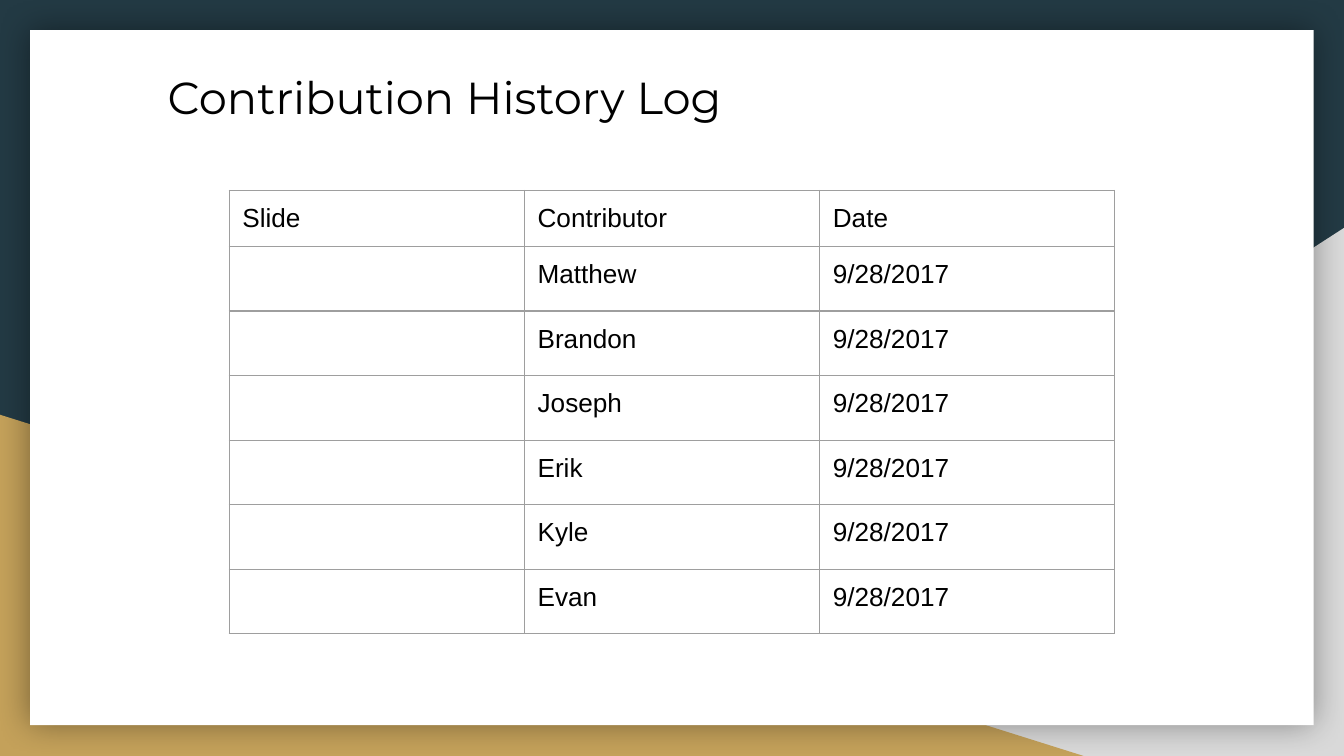
import pptx
import pptx.dml.color
import pptx.enum.shapes
import pptx.oxml
import pptx.oxml.ns
import pptx.util
from lxml import etree

Cm = pptx.util.Cm
Pt = pptx.util.Pt
RGBColor = pptx.dml.color.RGBColor
MSO_SHAPE = pptx.enum.shapes.MSO_SHAPE
qn = pptx.oxml.ns.qn

TEAL = RGBColor(0x23, 0x3A, 0x44)
GREY = RGBColor(0xD9, 0xD9, 0xD9)
GOLD = RGBColor(0xC4, 0xA1, 0x5A)
WHITE = RGBColor(0xFF, 0xFF, 0xFF)
BLACK = RGBColor(0x00, 0x00, 0x00)
BORDER = RGBColor(0x9E, 0x9E, 0x9E)

INSET = Cm(0.25)
HEADER = ("Slide", "Contributor", "Date")
CONTRIBUTORS = ("Matthew", "Brandon", "Joseph", "Erik", "Kyle", "Evan")
LOG_DATE = "9/28/2017"


def add_filled(slide, kind, left, top, width, height, color):
    shape = slide.shapes.add_shape(kind, Cm(left), Cm(top), Cm(width), Cm(height))
    shape.shadow.inherit = False
    shape.fill.solid()
    shape.fill.fore_color.rgb = color
    shape.line.fill.background()
    return shape


def add_glow_shadow(shape):
    """Give the shape a soft shadow spreading evenly on all sides."""
    effects = shape.element.spPr.find(qn("a:effectLst"))
    shadow = etree.SubElement(effects, qn("a:outerShdw"), blurRad=str(Pt(18)),
                              dist="0", dir="0", algn="ctr", rotWithShape="0")
    color = etree.SubElement(shadow, qn("a:srgbClr"), val=str(BLACK))
    etree.SubElement(color, qn("a:alpha"), val="40000")


def set_insets(frame):
    frame.margin_left = frame.margin_right = INSET
    frame.margin_top = frame.margin_bottom = INSET


def set_font(paragraph, name, size):
    paragraph.font.name = name
    paragraph.font.size = Pt(size)
    paragraph.font.color.rgb = BLACK


def add_title(slide, text):
    title = slide.shapes.add_textbox(Cm(2.92), Cm(1.07), Cm(19.56), Cm(2.54))
    frame = title.text_frame
    frame.word_wrap = True
    set_insets(frame)
    frame.text = text
    set_font(frame.paragraphs[0], "Montserrat", 24)


def set_borders(cell):
    properties = cell._tc.get_or_add_tcPr()
    for position, side in enumerate(("a:lnL", "a:lnR", "a:lnT", "a:lnB")):
        line = etree.Element(qn(side), w=str(Pt(0.75)))
        fill = etree.SubElement(line, qn("a:solidFill"))
        etree.SubElement(fill, qn("a:srgbClr"), val=str(BORDER))
        properties.insert(position, line)


def add_log_table(slide, rows):
    header_height, row_height, column_width = Cm(1.06), Cm(1.22), Cm(5.58)
    table = slide.shapes.add_table(
        len(rows), len(HEADER), Cm(4.33), Cm(3.6), column_width * len(HEADER),
        header_height + row_height * (len(rows) - 1)).table
    table.first_row = table.horz_banding = False
    for column in table.columns:
        column.width = column_width
    for index, texts in enumerate(rows):
        table.rows[index].height = row_height if index else header_height
        for cell, text in zip(table.rows[index].cells, texts):
            set_insets(cell)
            cell.fill.background()
            set_borders(cell)
            if text:
                cell.text = text
            set_font(cell.text_frame.paragraphs[0], "Arial", 14)


def add_backdrop(slide):
    slide.background.fill.solid()
    slide.background.fill.fore_color.rgb = TEAL
    grey_corner = add_filled(slide, MSO_SHAPE.RIGHT_TRIANGLE, 9.96, 4.31, 15.44, 9.98, GREY)
    grey_corner.element.spPr.xfrm.set("flipH", "1")
    add_filled(slide, MSO_SHAPE.RIGHT_TRIANGLE, 0, 7.84, 20.48, 6.45, GOLD)
    panel = add_filled(slide, MSO_SHAPE.RECTANGLE, 0.57, 0.57, 24.26, 13.14, WHITE)
    add_glow_shadow(panel)


def main():
    presentation = pptx.Presentation()
    presentation.slide_width = Cm(25.4)
    presentation.slide_height = Cm(14.29)
    slide = presentation.slides.add_slide(presentation.slide_layouts[6])
    add_backdrop(slide)
    add_log_table(slide, [HEADER] + [("", name, LOG_DATE) for name in CONTRIBUTORS])
    add_title(slide, "Contribution History Log")
    presentation.save("out.pptx")


if __name__ == "__main__":
    main()
